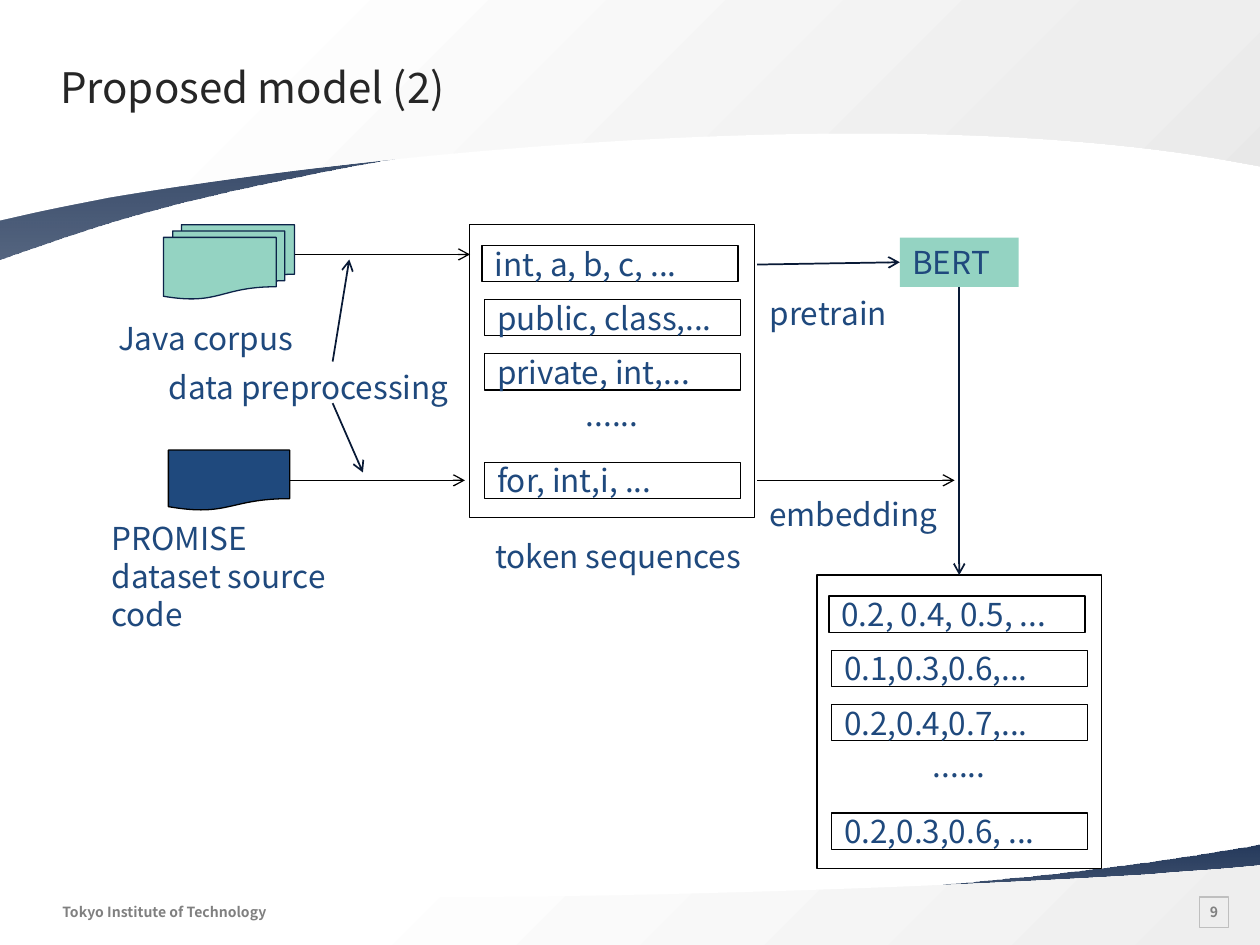
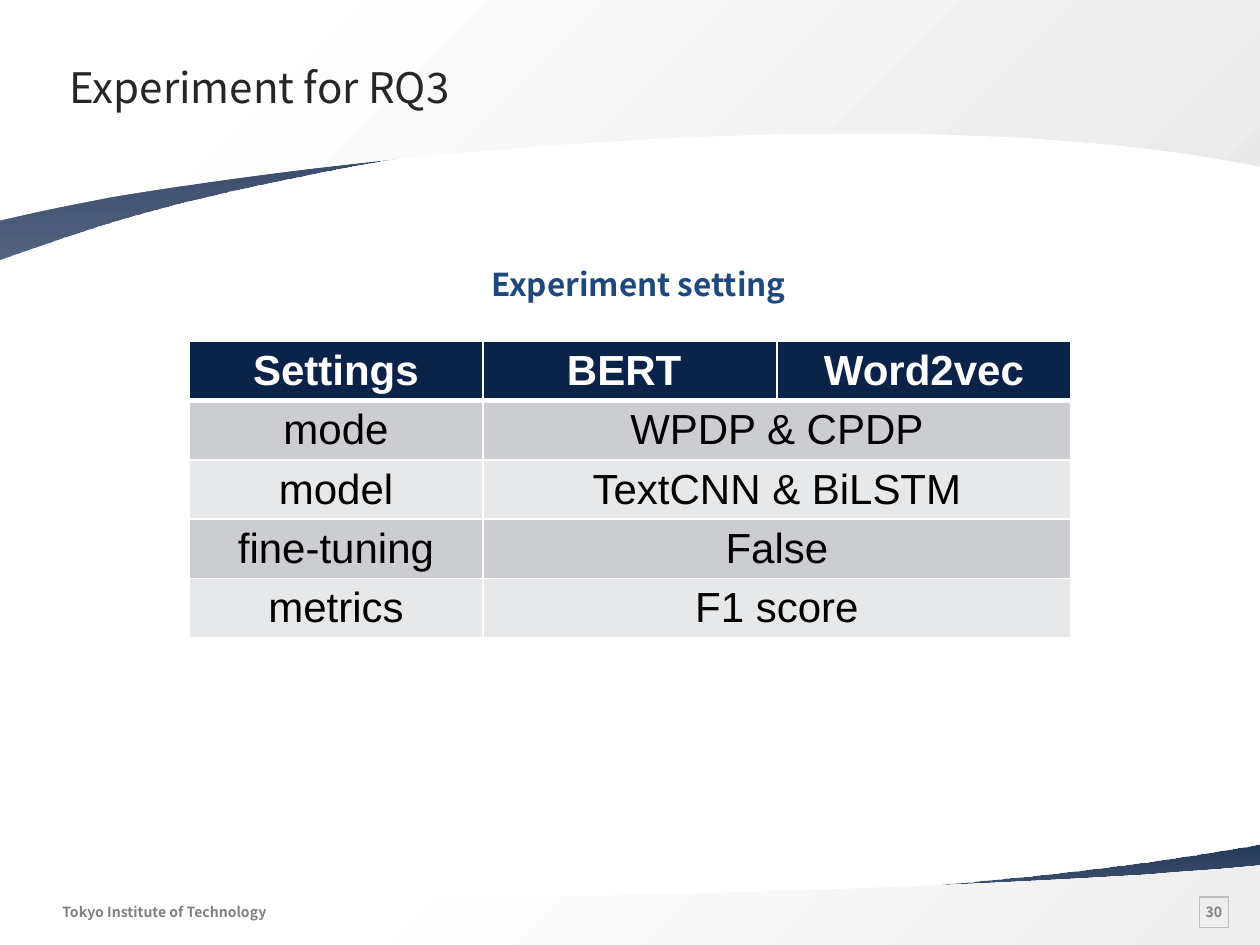
from dataclasses import dataclass
from typing import Any, Optional

import lxml.etree as etree
import pptx
import pptx.dml.color
import pptx.enum.shapes
import pptx.enum.text
import pptx.oxml.ns
import pptx.util

Pt = pptx.util.Pt
qn = pptx.oxml.ns.qn
KIND = pptx.enum.shapes.MSO_SHAPE
ALIGN = pptx.enum.text.PP_ALIGN
ANCHOR = pptx.enum.text.MSO_ANCHOR
Point = tuple[float, float]
TOP, LEFT, BOTTOM, RIGHT = range(4)


@dataclass(frozen=True)
class Theme:
    font: str = "Noto Sans CJK SC"
    grid_font: str = "Arial"
    title_size: float = 24
    body_size: float = 18
    foot_size: float = 8
    leading: float = 1.2
    navy: str = "0C2349"
    blue: str = "1F497D"
    mint: str = "94D3C2"
    arrow: str = "091A36"
    title: str = "262626"
    foot: str = "808080"
    frame: str = "BFBFBF"
    black: str = "000000"
    white: str = "FFFFFF"
    mist: str = "EEEEEE"
    cloud: str = "E8E8E8"
    rows: tuple[str, str] = ("CCCDD0", "E7E8E9")


THEME = Theme()


@dataclass(frozen=True)
class Style:
    size: float = THEME.body_size
    color: str = THEME.blue
    bold: bool = False
    font: str = THEME.font


@dataclass(frozen=True)
class Box:
    left: float
    top: float
    width: float
    height: float


@dataclass(frozen=True)
class Band:
    """Straight corners, then two cubic curves; stops are place, colour, opacity."""
    corners: list[Point]
    curve: list[Point]
    stops: list[tuple[int, str, int]]
    angle: int


@dataclass(frozen=True)
class Label:
    text: str
    box: Box
    align: Any = ALIGN.LEFT
    style: Style = Style()


@dataclass(frozen=True)
class Arrow:
    start: Point
    end: Point
    color: str = THEME.black
    width: float = 0.75
    source: Optional[tuple[Any, int]] = None
    target: Optional[tuple[Any, int]] = None


BODY = Style()
TITLE = Style(THEME.title_size, THEME.title)
FOOT = Style(THEME.foot_size, THEME.foot, True)
NAVY_STOPS = [(0, THEME.navy, 90), (100, THEME.navy, 70)]
BANDS = [
    Band([(720, 482.4), (720, 529.2), (0, 529.2), (0, 509.8)],
         [(0.7, 509.8), (162.7, 533.5), (442.8, 516.2), (604.1, 499),
          (636.5, 495.4), (673.2, 490.3), (712.1, 483.8)], NAVY_STOPS, 90),
    Band([(720, 494.6), (720, 540), (0, 540), (0, 506.2)],
         [(23.8, 507.6), (211.7, 519.1), (491.8, 509.8), (658.1, 499.7),
          (672.5, 498.2), (688.3, 497.5), (704.2, 496.1)],
         [(26, THEME.white, 100), (100, THEME.mist, 100)], 45),
    Band([(0, 148.3), (0, 47.5), (720, 47.5), (720, 89.3)],
         [(719.3, 88.6), (557.3, 38.2), (277.2, 74.2), (115.9, 113),
          (83.5, 120.2), (46.8, 131.8), (7.9, 145.4)], NAVY_STOPS, 90),
    Band([(0, 126), (0, 0), (720, 0), (720, 95)],
         [(696.2, 90.7), (508.3, 59), (228.2, 85), (61.9, 113),
          (47.5, 115.9), (31.7, 118.8), (15.8, 122.4)],
         [(17, THEME.white, 100), (81, THEME.mist, 100), (100, THEME.cloud, 100)], 45),
]


def rgb(code: str) -> Any:
    return pptx.dml.color.RGBColor.from_string(code)


def place(box: Box) -> list[int]:
    return [Pt(v) for v in (box.left, box.top, box.width, box.height)]


def write(para: Any, text: str, style: Style, align: Any = ALIGN.LEFT) -> None:
    para.alignment = align
    if style.font == THEME.font:
        para.line_spacing = Pt(style.size * THEME.leading)
    run = para.add_run()
    run.text = text
    run.font.name, run.font.size, run.font.bold = style.font, Pt(style.size), style.bold
    run.font.color.rgb = rgb(style.color)


def pad(frame: Any, left: float, top: float, right: float, bottom: float) -> None:
    frame.margin_left, frame.margin_top = Pt(left), Pt(top)
    frame.margin_right, frame.margin_bottom = Pt(right), Pt(bottom)


def add_label(slide: Any, label: Label, wrap: bool = True) -> Any:
    frame = slide.shapes.add_textbox(*place(label.box)).text_frame
    frame.word_wrap = wrap
    write(frame.paragraphs[0], label.text, label.style, label.align)
    return frame


def add_block(slide: Any, kind: Any, box: Box, fill: str = "", line: str = "") -> Any:
    shape = slide.shapes.add_shape(kind, *place(box))
    shape.shadow.inherit = False
    if fill:
        shape.fill.solid()
        shape.fill.fore_color.rgb = rgb(fill)
    else:
        shape.fill.background()
    if line:
        shape.line.color.rgb = rgb(line)
        shape.line.width = Pt(0.75)
    else:
        shape.line.fill.background()
    return shape


def add_cell(slide: Any, box: Box, text: str, fill: str = "", line: str = "") -> Any:
    """Rectangle with one line of text, centred in height."""
    shape = add_block(slide, KIND.RECTANGLE, box, fill, line)
    shape.text_frame.vertical_anchor = ANCHOR.MIDDLE
    write(shape.text_frame.paragraphs[0], text, BODY)
    return shape


def add_arrow(slide: Any, arrow: Arrow) -> None:
    ends = [Pt(v) for v in arrow.start + arrow.end]
    line = slide.shapes.add_connector(pptx.enum.shapes.MSO_CONNECTOR.STRAIGHT, *ends)
    if arrow.source:
        line.begin_connect(*arrow.source)
    if arrow.target:
        line.end_connect(*arrow.target)
    line.line.color.rgb = rgb(arrow.color)
    line.line.width = Pt(arrow.width)
    props = line.element.spPr
    etree.SubElement(props.find(qn("a:ln")), qn("a:tailEnd"), type="arrow")
    etree.SubElement(props, qn("a:effectLst"))


def bend(shape: Any, curve: list[Point]) -> None:
    """Turn the last two drawn edges into the cubic curves."""
    edges = list(shape.element.spPr.iter(qn("a:lnTo")))[-2:]
    for first, edge in zip((1, 4), edges):
        cubic = etree.Element(qn("a:cubicBezTo"))
        for x, y in curve[first:first + 3]:
            etree.SubElement(cubic, qn("a:pt"), x=str(Pt(x) - shape.left),
                             y=str(Pt(y) - shape.top))
        edge.getparent().replace(edge, cubic)


def add_band(slide: Any, band: Band) -> None:
    points = [(Pt(x), Pt(y)) for x, y in band.corners + band.curve[::3]]
    pen = slide.shapes.build_freeform(*points[0], scale=1.0)
    pen.add_line_segments(points[1:], close=False)
    shape = pen.convert_to_shape()
    bend(shape, band.curve)
    outline = next(shape.element.spPr.iter(qn("a:path")))
    etree.SubElement(outline, qn("a:close"))
    shape.shadow.inherit = False
    shape.line.fill.background()
    shape.fill.gradient()
    grad = shape.element.spPr.find(qn("a:gradFill"))
    stops = grad.find(qn("a:gsLst"))
    for old in list(stops):
        stops.remove(old)
    for spot, color, alpha in band.stops:
        stop = etree.SubElement(stops, qn("a:gs"), pos=str(spot * 1000))
        tint = etree.SubElement(stop, qn("a:srgbClr"), val=color)
        if alpha < 100:
            etree.SubElement(tint, qn("a:alpha"), val=str(alpha * 1000))
    grad.find(qn("a:lin")).set("ang", str(band.angle * 60000))


def add_page(deck: Any, title: str, number: int, indent: float = 0) -> Any:
    """Blank slide with bands, footer, page number and title."""
    slide = deck.slides.add_slide(deck.slide_layouts[6])
    for band in BANDS:
        add_band(slide, band)
    badge = add_block(slide, KIND.RECTANGLE, Box(685.4, 512.6, 16.6, 17.3), line=THEME.frame)
    frame = badge.text_frame
    pad(frame, 5.76, 5.76, 5.76, 5.76)
    frame.word_wrap = False
    frame.vertical_anchor = ANCHOR.MIDDLE
    write(frame.paragraphs[0], str(number), FOOT, ALIGN.CENTER)
    foot = Label("Tokyo Institute of Technology", Box(35.7, 512.6, 126.7, 16.6), style=FOOT)
    pad(add_label(slide, foot, wrap=False), 0, 3.6, 7.2, 3.6)
    head = Label(title, Box(28.6, 29.5, 648, 41.8), style=TITLE)
    pad(add_label(slide, head), 5.76 + indent, 5.76, 0, 5.76)
    return slide


def add_panel(slide: Any, left: float, top: float, texts: list[str]) -> Any:
    """Frame with three rows, dots in the fourth slot and a last row."""
    pitch = 31
    panel = add_block(slide, KIND.RECTANGLE, Box(left, top, 162.7, 167.6), line=THEME.black)
    for slot, text in zip((0, 1, 2, 4), texts):
        shift = 8.5 if slot else 7
        box = Box(left + shift, top + 12 + slot * pitch, 146.2, 20.7)
        add_cell(slide, box, text, line=THEME.black)
    add_label(slide, Label("......", Box(left + 7.2, top + 94, 148.3, 21.6), ALIGN.CENTER))
    return panel


def draw_model(deck: Any) -> None:
    slide = add_page(deck, "Proposed model (2)", 9)
    add_block(slide, KIND.FLOWCHART_MULTIDOCUMENT, Box(93.4, 128.4, 74.9, 42.5),
              THEME.mint, THEME.navy)
    source = add_block(slide, KIND.FLOWCHART_DOCUMENT, Box(96.2, 257.2, 69.3, 34.6),
                       THEME.blue, THEME.black)
    add_panel(slide, 268.5, 128.2,
              ["int, a, b, c, ...", "public, class,...", "private, int,...", "for, int,i, ..."])
    output = add_panel(slide, 466.8, 328.6,
                       ["0.2, 0.4, 0.5, ...", "0.1,0.3,0.6,...", "0.2,0.4,0.7,...",
                        "0.2,0.3,0.6, ..."])
    bert = add_cell(slide, Box(514.2, 135.8, 67.9, 28.1), "BERT", THEME.mint)
    for label in (
        Label("pretrain", Box(432.7, 164.2, 91.4, 27.4)),
        Label("embedding", Box(432.5, 279.4, 121, 27.4)),
        Label("Java corpus", Box(60.4, 179, 141.1, 27.4)),
        Label("PROMISE dataset source code", Box(56.7, 293, 157.7, 68.4)),
        Label("token sequences", Box(275.8, 303.1, 177.1, 27.4)),
        Label("data preprocessing", Box(89.3, 206.8, 202.3, 23.8)),
    ):
        add_label(slide, label)
    for arrow in (
        Arrow((168.5, 145.4), (268.6, 145.4)),
        Arrow((165.5, 274.5), (265.7, 274.5), source=(source, RIGHT)),
        Arrow((432.7, 274.5), (545.5, 274.5)),
        Arrow((432.7, 151.2), (514.2, 150), THEME.arrow, 1, target=(bert, LEFT)),
        Arrow((548.1, 163.9), (548.1, 328.6), THEME.arrow, 1, (bert, BOTTOM), (output, TOP)),
        Arrow((190.1, 206.6), (199.6, 148.3), THEME.arrow, 1),
        Arrow((190.1, 230.4), (207.4, 270), THEME.arrow, 1),
    ):
        add_arrow(slide, arrow)


def edge(cell: Any, thick: str) -> None:
    """White borders, with one side (such as "B") drawn thicker."""
    props = cell._tc.get_or_add_tcPr()
    for side in "LRTB":
        width = Pt(3 if side == thick else 1)
        line = etree.SubElement(props, qn("a:ln" + side), w=str(int(width)))
        fill = etree.SubElement(line, qn("a:solidFill"))
        etree.SubElement(fill, qn("a:srgbClr"), val=THEME.white)


def add_grid(slide: Any, box: Box, data: list[list[str]]) -> None:
    """Table in which a short row spreads its last entry to the right edge."""
    wide = len(data[0])
    grid = slide.shapes.add_table(len(data), wide, *place(box)).table
    grid.horz_banding = False
    for r, texts in enumerate(data):
        head = r == 0
        style = Style(THEME.title_size, THEME.white if head else THEME.black,
                      head, THEME.grid_font)
        for c in range(wide):
            cell = grid.cell(r, c)
            edge(cell, {0: "B", 1: "T"}.get(r, ""))
            cell.margin_bottom = Pt(1.5)
            cell.fill.solid()
            cell.fill.fore_color.rgb = rgb(THEME.navy if head else THEME.rows[(r - 1) % 2])
            if c < len(texts):
                write(cell.text_frame.paragraphs[0], texts[c], style, ALIGN.CENTER)
        if len(texts) < wide:
            grid.cell(r, len(texts) - 1).merge(grid.cell(r, wide - 1))


def draw_setup(deck: Any) -> None:
    slide = add_page(deck, "Experiment for RQ3", 30, indent=5.4)
    add_grid(slide, Box(108, 195, 504, 150), [
        ["Settings", "BERT ", "Word2vec"],
        ["mode", "WPDP & CPDP"],
        ["model", "TextCNN & BiLSTM"],
        ["fine-tuning", "False"],
        ["metrics", "F1 score"],
    ])
    add_label(slide, Label("Experiment setting", Box(273.6, 147.6, 288, 34.6),
                           style=Style(bold=True)))


def main() -> None:
    deck = pptx.Presentation()
    deck.slide_width, deck.slide_height = Pt(720), Pt(540)
    draw_model(deck)
    draw_setup(deck)
    deck.save("out.pptx")


if __name__ == "__main__":
    main()
